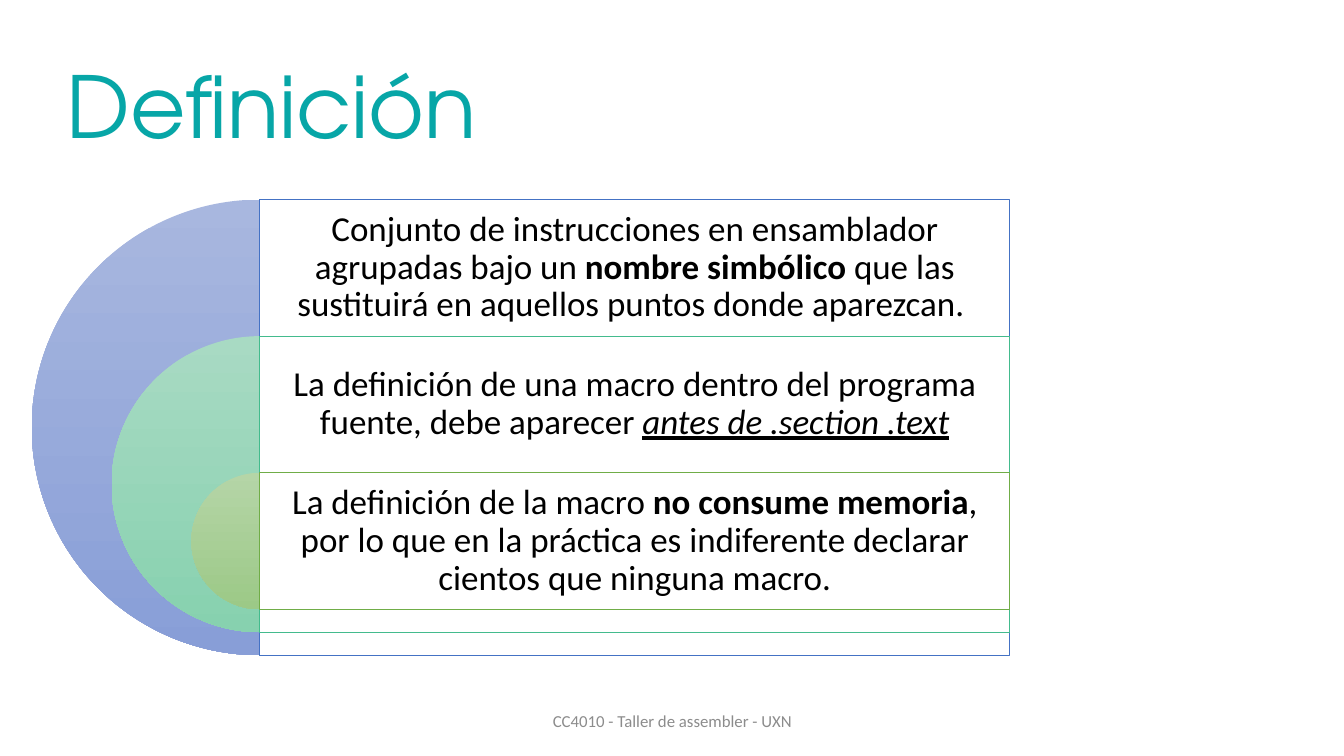
"""Build the slide "Definición": nested half circles beside three statements."""
from lxml import etree
from pptx import Presentation
from pptx.dml.color import RGBColor
from pptx.enum.shapes import MSO_SHAPE
from pptx.enum.text import MSO_ANCHOR, MSO_AUTO_SIZE, PP_ALIGN
from pptx.oxml.ns import qn
from pptx.util import Inches, Pt

PIE, RECT = MSO_SHAPE.PIE, MSO_SHAPE.RECTANGLE
LEFT, CENTER = PP_ALIGN.LEFT, PP_ALIGN.CENTER
MIDDLE = MSO_ANCHOR.MIDDLE
NO_FIT = MSO_AUTO_SIZE.NONE


def rgb(value):
    return RGBColor.from_string(value)


def write(sp, runs, size, color, font="Calibri", align=CENTER, spacing=1.0, inset=0.1):
    tf = sp.text_frame
    tf.word_wrap = True
    tf.auto_size = NO_FIT
    tf.vertical_anchor = MIDDLE
    tf.margin_top = tf.margin_bottom = Inches(inset)
    p = tf.paragraphs[0]
    p.alignment = align
    p.line_spacing = spacing
    for text, style in runs:
        r = p.add_run()
        r.text = text
        r.font.name, r.font.size = font, Pt(size)
        r.font.color.rgb = rgb(color)
        r.font.bold = "b" in style
        r.font.italic = "i" in style
        r.font.underline = "u" in style


prs = Presentation()
prs.slide_width, prs.slide_height = Inches(13.33), Inches(7.5)
s = prs.slides.add_slide(prs.slide_layouts[5])

title = s.shapes.title
title.left, title.top = Inches(0.56), Inches(0.37)
title.width, title.height = Inches(10.04), Inches(1.45)
write(title, [("Definición", "")], 61, "07A6A7", font="TeX Gyre Adventor",
      align=LEFT, spacing=0.9, inset=0.05)

rows = [
    ("A8B7DF", "889ED7", "4472C4", [
        ("Conjunto de instrucciones en ensamblador agrupadas bajo un ", ""),
        ("nombre simbólico ", "b"),
        ("que las sustituirá en aquellos puntos donde aparezcan. ", "")]),
    ("A8DAC3", "87D1AF", "43BB8D", [
        ("La definición de una macro dentro del programa fuente, debe aparecer ", ""),
        ("antes de .section .text", "iu")]),
    ("B5D5A7", "9CC987", "70AD47", [
        ("La definición de la macro ", ""),
        ("no consume memoria", "b"),
        (", por lo que en la práctica es indiferente declarar cientos que ninguna macro.", "")]),
]
AXIS, TOP, WIDTH = 2.575, 1.98, 7.44
ROW, DIAMETER, SHRINK = 1.355, 4.52, 1.583

for i, (light, dark, border, runs) in enumerate(rows):
    top = Inches(TOP + i * ROW)
    size = DIAMETER - i * SHRINK
    box = Inches(AXIS), top, Inches(WIDTH)

    sp = s.shapes.add_shape(PIE, Inches(AXIS - size / 2), top, Inches(size), Inches(size))
    sp.shadow.inherit = False
    sp.adjustments[0], sp.adjustments[1] = 54, 162
    sp.line.fill.background()
    sp.fill.gradient()
    sp.fill.gradient_angle = 270
    for stop, color, position in zip(sp.fill.gradient_stops, (light, dark), (0, 1)):
        stop.color.rgb = rgb(color)
        stop.position = position

    sp = s.shapes.add_shape(RECT, *box, Inches(size))
    sp.shadow.inherit = False
    sp.fill.solid()
    sp.fill.fore_color.rgb = rgb("FFFFFF")
    white = sp.fill._xPr.find(qn("a:solidFill"))[0]
    etree.SubElement(white, qn("a:alpha")).set("val", "90000")
    sp.line.color.rgb = rgb(border)
    sp.line.width = Pt(0.5)

    write(s.shapes.add_textbox(*box, Inches(ROW)), runs, 25, "000000", spacing=0.9)

footer = s.shapes.add_textbox(Inches(4.42), Inches(6.95), Inches(4.5), Inches(0.4))
write(footer, [("CC4010 - Taller de assembler - UXN", "")], 12, "8C8C8C", inset=0.05)

prs.save("out.pptx")
